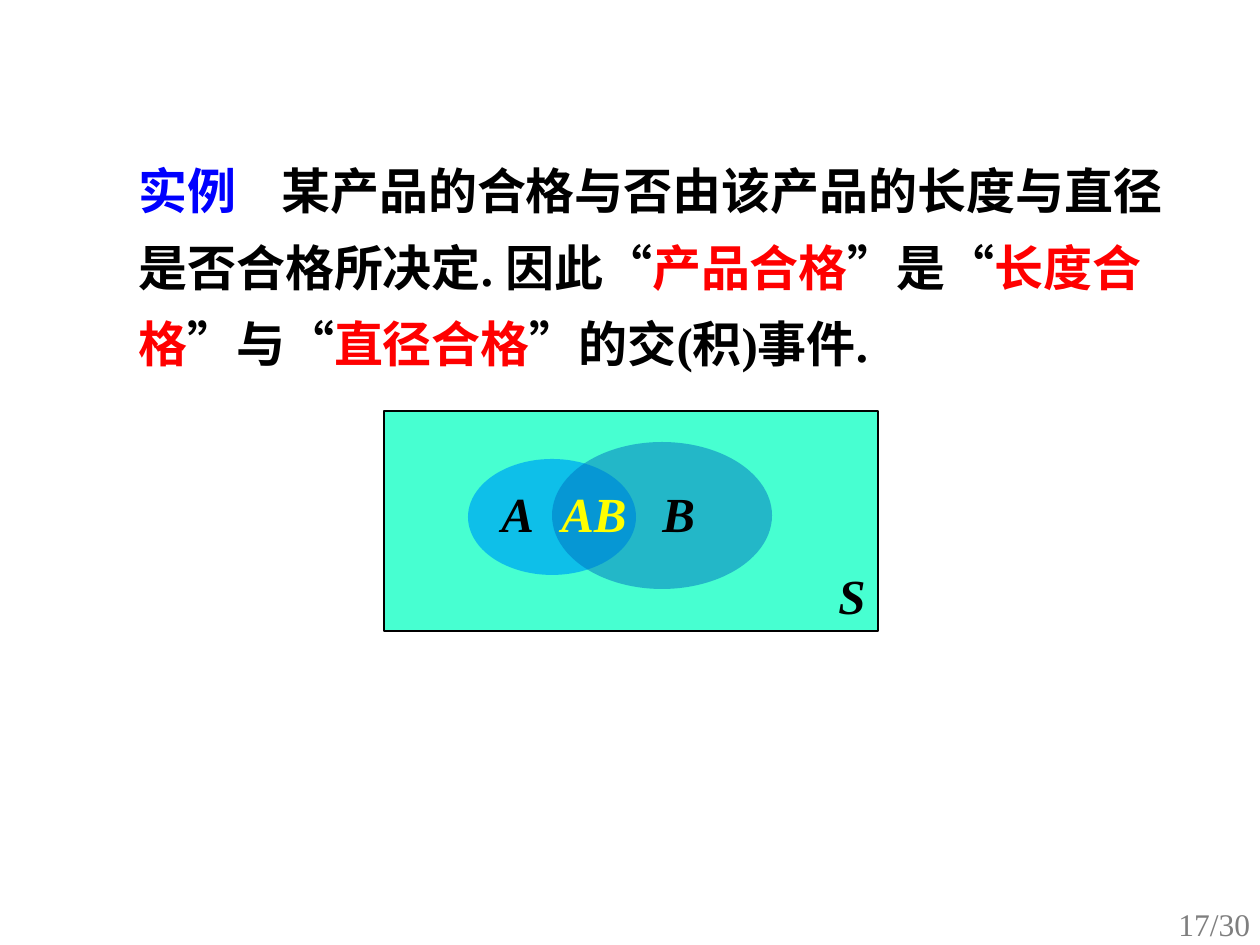
from dataclasses import dataclass

import lxml.etree
import pptx
import pptx.dml.color
import pptx.enum.lang
import pptx.enum.shapes
import pptx.enum.text
import pptx.oxml.ns
import pptx.util

EMU_PER_PX = 914400 / 126
SHAPE = pptx.enum.shapes.MSO_SHAPE


@dataclass(frozen=True)
class Theme:
    font: str = "Times New Roman"
    body_size: int = 28
    page_size: int = 18
    black: str = "000000"
    blue: str = "0000FF"
    red: str = "FF0000"
    yellow: str = "FFFF00"
    grey: str = "7F7F7F"
    space: str = "47FFD1"
    set_a: str = "00B0F0"
    set_b: str = "0070C0"


THEME = Theme()


def px(length):
    return pptx.util.Emu(round(length * EMU_PER_PX))


def rgb(value):
    return pptx.dml.color.RGBColor.from_string(value)


def add_child(parent, tag, **attributes):
    return lxml.etree.SubElement(parent, pptx.oxml.ns.qn(tag), attributes)


def add_text(page, place, spans, size=THEME.body_size, bold=True,
             italic=False, wrap=True, line_spacing=None, tab_stop=None):
    """Add a one-paragraph text box; spans are (text, colour) pairs."""
    box = page.shapes.add_textbox(*map(px, place))
    box.text_frame.word_wrap = wrap
    box.text_frame.auto_size = pptx.enum.text.MSO_AUTO_SIZE.SHAPE_TO_FIT_TEXT
    para = box.text_frame.paragraphs[0]
    if tab_stop:
        tabs = add_child(para._p.get_or_add_pPr(), "a:tabLst")
        add_child(tabs, "a:tab", pos=str(px(tab_stop)), algn="l")
    if line_spacing:
        para.line_spacing = line_spacing
    for text, colour in spans:
        span = para.add_run()
        span.text = text
        span.font.name = THEME.font
        span.font.size = pptx.util.Pt(size)
        span.font.bold = bold
        span.font.italic = italic
        span.font.color.rgb = rgb(colour)
        span.font.language_id = pptx.enum.lang.MSO_LANGUAGE_ID.SIMPLIFIED_CHINESE


def add_region(page, kind, place, colour, opacity=100, outline=None):
    region = page.shapes.add_shape(kind, *map(px, place))
    region.shadow.inherit = False
    region.fill.solid()
    region.fill.fore_color.rgb = rgb(colour)
    if opacity < 100:
        tint = region._element.spPr.find(".//" + pptx.oxml.ns.qn("a:srgbClr"))
        add_child(tint, "a:alpha", val=str(opacity * 1000))
    if outline:
        region.line.color.rgb = rgb(outline)
        region.line.width = pptx.util.Pt(1)
    else:
        region.line.fill.background()


def add_set_label(page, place, text, colour=THEME.black):
    add_text(page, place, [(text, colour)], italic=True, wrap=False)


def add_venn(page):
    add_region(page, SHAPE.RECTANGLE, (384, 411, 494, 220), THEME.space,
               outline=THEME.black)
    add_set_label(page, (826, 559, 53, 72), "S")
    add_region(page, SHAPE.OVAL, (468, 459, 168, 116), THEME.set_a, 80)
    add_set_label(page, (489, 477, 58, 72), "A")
    add_region(page, SHAPE.OVAL, (552, 442, 220, 147), THEME.set_b, 50)
    add_set_label(page, (650, 477, 58, 72), "B")
    add_set_label(page, (549, 477, 91, 72), "AB", THEME.yellow)


def add_example(page):
    add_text(page, (126, 137, 1070, 244), [
        ("实例", THEME.blue),
        ("\t某产品的合格与否由该产品的长度与直径是否合格所决定. 因此“", THEME.black),
        ("产品合格", THEME.red),
        ("”是“", THEME.black),
        ("长度合格", THEME.red),
        ("”与“", THEME.black),
        ("直径合格", THEME.red),
        ("”的交(积)事件.", THEME.black),
    ], line_spacing=1.3, tab_stop=143)


def main():
    deck = pptx.Presentation()
    deck.slide_width, deck.slide_height = px(1260), px(945)
    page = deck.slides.add_slide(deck.slide_layouts[6])
    add_example(page)
    add_venn(page)
    add_text(page, (1166, 899, 100, 50), [("17/30", THEME.grey)],
             size=THEME.page_size, bold=False)
    deck.save("out.pptx")


if __name__ == "__main__":
    main()
